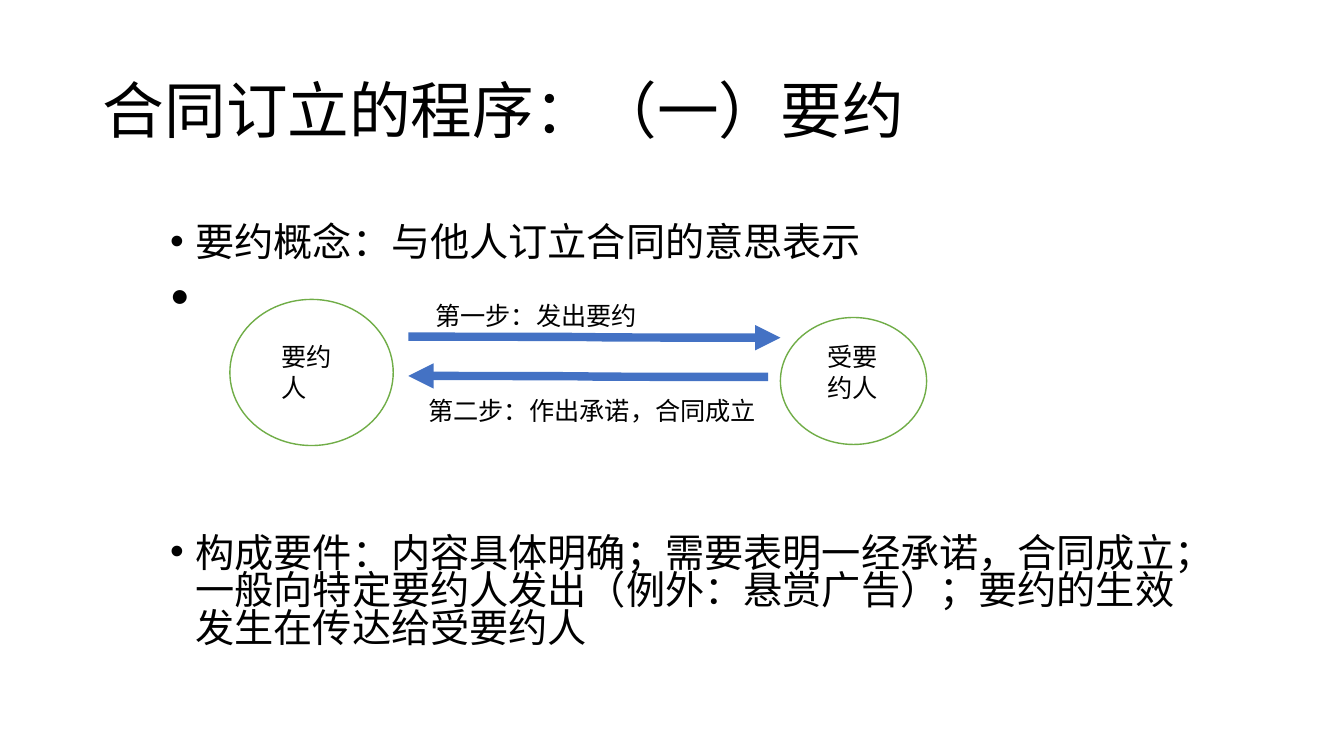
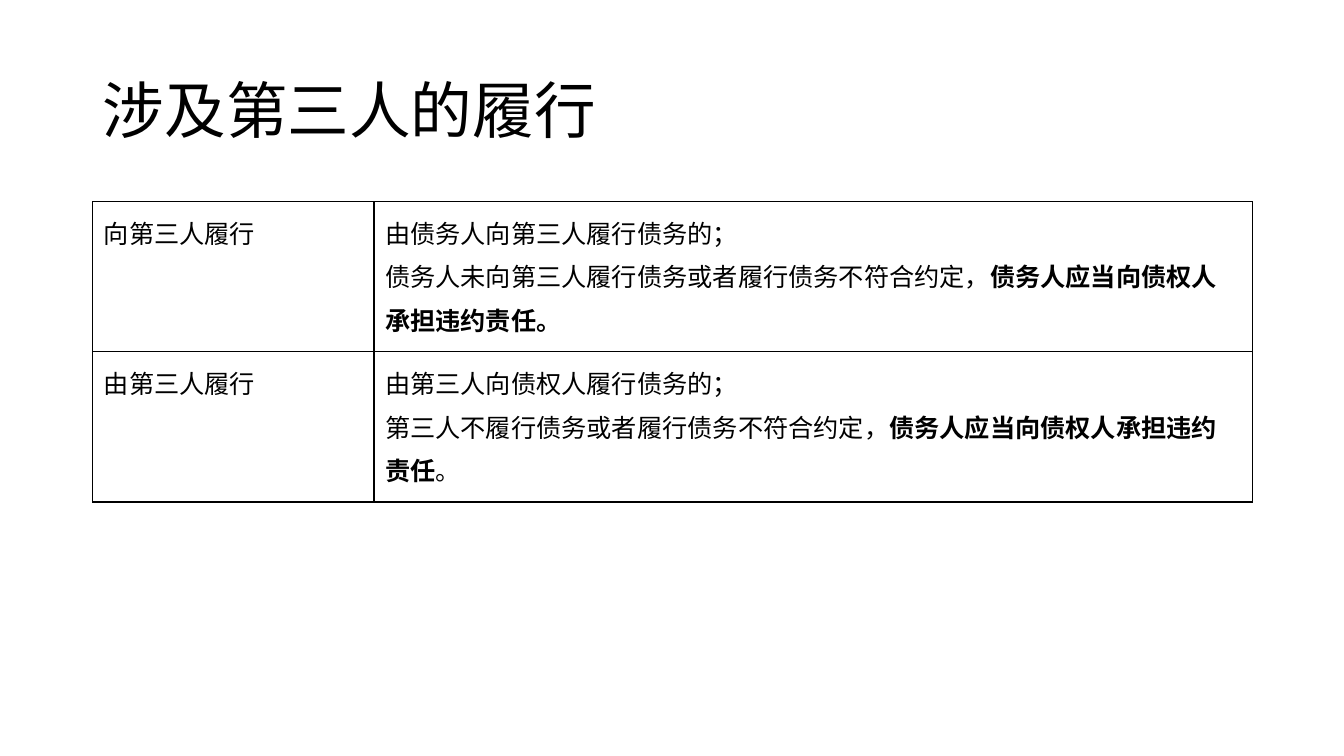
"""Two slides on contract law: the offer, and performance involving third persons."""
from dataclasses import dataclass

from pptx import Presentation
from pptx import util as u
from pptx.dml.color import RGBColor
from pptx.enum import lang, shapes, text
from pptx.oxml import parse_xml
from pptx.oxml.ns import nsdecls
from pptx.oxml.xmlchemy import OxmlElement

PX = 9144
FONT = "Calibri"
BLACK, WHITE, GREEN, BLUE = "000000", "FFFFFF", "70AD47", "4472C4"


@dataclass(frozen=True)
class Box:
    left: int
    top: int
    width: int
    height: int

    def emu(self) -> tuple[int, ...]:
        """Return the four lengths in EMU."""
        return tuple(px(n) for n in (self.left, self.top, self.width, self.height))


@dataclass(frozen=True)
class Party:
    name: str
    circle: Box
    label: Box


@dataclass(frozen=True)
class Step:
    caption: str
    label: Box
    start: tuple[int, int]
    end: tuple[int, int]


@dataclass(frozen=True)
class Span:
    wording: str
    bold: bool = False


@dataclass(frozen=True)
class Point:
    wording: str
    bullet: bool
    before: int


TITLE_BOX = Box(92, 40, 1150, 145)
BODY_BOX = Box(159, 220, 1050, 440)
TABLE_BOX = Box(92, 200, 1150, 298)
COLUMNS = (279, 871)

POINTS = (
    Point("要约概念：与他人订立合同的意思表示", True, 0),
    Point("•", False, 10),
    Point("构成要件：内容具体明确；需要表明一经承诺，合同成立；一般向特定要约人发出"
          "（例外：悬赏广告）；要约的生效发生在传达给受要约人", True, 158),
)
PARTIES = (
    Party("要约人", Box(228, 297, 162, 145), Box(269, 334, 86, 71)),
    Party("受要约人", Box(774, 315, 145, 126), Box(811, 334, 77, 71)),
)
STEPS = (
    Step("第一步：发出要约", Box(422, 293, 234, 40), (405, 334), (774, 335)),
    Step("第二步：作出承诺，合同成立", Box(415, 387, 359, 40), (762, 374), (405, 373)),
)
ROWS = (
    (
        ((Span("向第三人履行"),),),
        (
            (Span("由债务人向第三人履行债务的；"),),
            (Span("债务人未向第三人履行债务或者履行债务不符合约定，"),
             Span("债务人应当向债权人承担违约责任。", True)),
        ),
    ),
    (
        ((Span("由第三人履行"),),),
        (
            (Span("由第三人向债权人履行债务的；"),),
            (Span("第三人不履行债务或者履行债务不符合约定，"),
             Span("债务人应当向债权人承担违约责任", True), Span("。")),
        ),
    ),
)


def px(count: int) -> int:
    """Turn px into EMU."""
    return count * PX


def color(value: str) -> RGBColor:
    """Turn a hex string into a colour."""
    return RGBColor.from_string(value)


def write(para, wording: str, *, size: int = 18, bold: bool = False,
          spacing: float = 1.0, before: int = 0) -> None:
    """Add a formatted run to a paragraph."""
    para.alignment = text.PP_ALIGN.LEFT
    para.line_spacing = spacing
    para.space_before = u.Pt(before)
    span = para.add_run()
    span.text = wording
    span.font.name = FONT
    span.font.size = u.Pt(size)
    span.font.bold = bold
    span.font.color.rgb = color(BLACK)
    span.font.language_id = lang.MSO_LANGUAGE_ID.SIMPLIFIED_CHINESE


def next_paragraph(frame, index: int):
    """Return the first paragraph of a frame or a new one."""
    return frame.add_paragraph() if index else frame.paragraphs[0]


def add_titled_page(deck, wording: str):
    """Add a title-only slide with its title."""
    page = deck.slides.add_slide(deck.slide_layouts[5])
    title = page.shapes.title
    title.left, title.top, title.width, title.height = TITLE_BOX.emu()
    title.text_frame.vertical_anchor = text.MSO_ANCHOR.MIDDLE
    write(title.text_frame.paragraphs[0], wording, size=44, spacing=0.9)
    return page


def add_frame(page, box: Box):
    """Add a wrapping text box and return its frame."""
    frame = page.shapes.add_textbox(*box.emu()).text_frame
    frame.word_wrap = True
    return frame


def add_bullet(para) -> None:
    """Give a paragraph a hanging round bullet."""
    properties = para._p.get_or_add_pPr()
    properties.set("marL", str(px(25)))
    properties.set("indent", str(px(-25)))
    for tag, key, value in (("a:buFont", "typeface", "Arial"), ("a:buChar", "char", "•")):
        element = OxmlElement(tag)
        element.set(key, value)
        properties.append(element)


def add_points(page) -> None:
    """Add the body text."""
    frame = add_frame(page, BODY_BOX)
    for index, point in enumerate(POINTS):
        para = next_paragraph(frame, index)
        if point.bullet:
            add_bullet(para)
        write(para, point.wording, size=28, spacing=0.8, before=point.before)


def add_party(page, party: Party) -> None:
    """Add a circle with the name of a party."""
    circle = page.shapes.add_shape(shapes.MSO_SHAPE.OVAL, *party.circle.emu())
    circle.shadow.inherit = False
    circle.fill.solid()
    circle.fill.fore_color.rgb = color(WHITE)
    circle.line.color.rgb = color(GREEN)
    circle.line.width = u.Pt(1)
    write(add_frame(page, party.label).paragraphs[0], party.name)


def add_step(page, step: Step) -> None:
    """Add an arrow and its caption."""
    ends = (px(n) for n in step.start + step.end)
    arrow = page.shapes.add_connector(shapes.MSO_CONNECTOR.CURVE, *ends)
    arrow.line.color.rgb = color(BLUE)
    arrow.line.width = u.Pt(6)
    head = OxmlElement("a:tailEnd")
    head.set("type", "triangle")
    arrow.line._get_or_add_ln().append(head)
    arrow._element.spPr.append(OxmlElement("a:effectLst"))
    write(add_frame(page, step.label).paragraphs[0], step.caption)


def add_borders(cell) -> None:
    """Draw a thin black line on each side of a cell."""
    properties = cell._tc.get_or_add_tcPr()
    for index, side in enumerate(("lnL", "lnR", "lnT", "lnB")):
        properties.insert(index, parse_xml(
            f'<a:{side} {nsdecls("a")} w="{u.Pt(1)}"><a:solidFill>'
            f'<a:srgbClr val="{BLACK}"/></a:solidFill></a:{side}>'))


def fill_cell(cell, paragraphs: tuple[tuple[Span, ...], ...]) -> None:
    """Write and format one table cell."""
    cell.fill.background()
    cell.margin_left = cell.margin_right = px(11)
    cell.margin_top = cell.margin_bottom = px(5)
    add_borders(cell)
    for index, spans in enumerate(paragraphs):
        para = next_paragraph(cell.text_frame, index)
        for span in spans:
            write(para, span.wording, bold=span.bold, spacing=1.2)


def add_grid(page) -> None:
    """Add the table of duties."""
    table = page.shapes.add_table(len(ROWS), len(COLUMNS), *TABLE_BOX.emu()).table
    table.first_row = table.horz_banding = False
    for column, width in zip(table.columns, COLUMNS):
        column.width = px(width)
    for row, contents in zip(table.rows, ROWS):
        row.height = px(TABLE_BOX.height // len(ROWS))
        for cell, paragraphs in zip(row.cells, contents):
            fill_cell(cell, paragraphs)


def main() -> None:
    """Build and save the deck."""
    deck = Presentation()
    deck.slide_width, deck.slide_height = px(1333), px(750)
    page = add_titled_page(deck, "合同订立的程序：（一）要约")
    add_points(page)
    for party in PARTIES:
        add_party(page, party)
    for step in STEPS:
        add_step(page, step)
    add_grid(add_titled_page(deck, "涉及第三人的履行"))
    deck.save("out.pptx")


if __name__ == "__main__":
    main()
